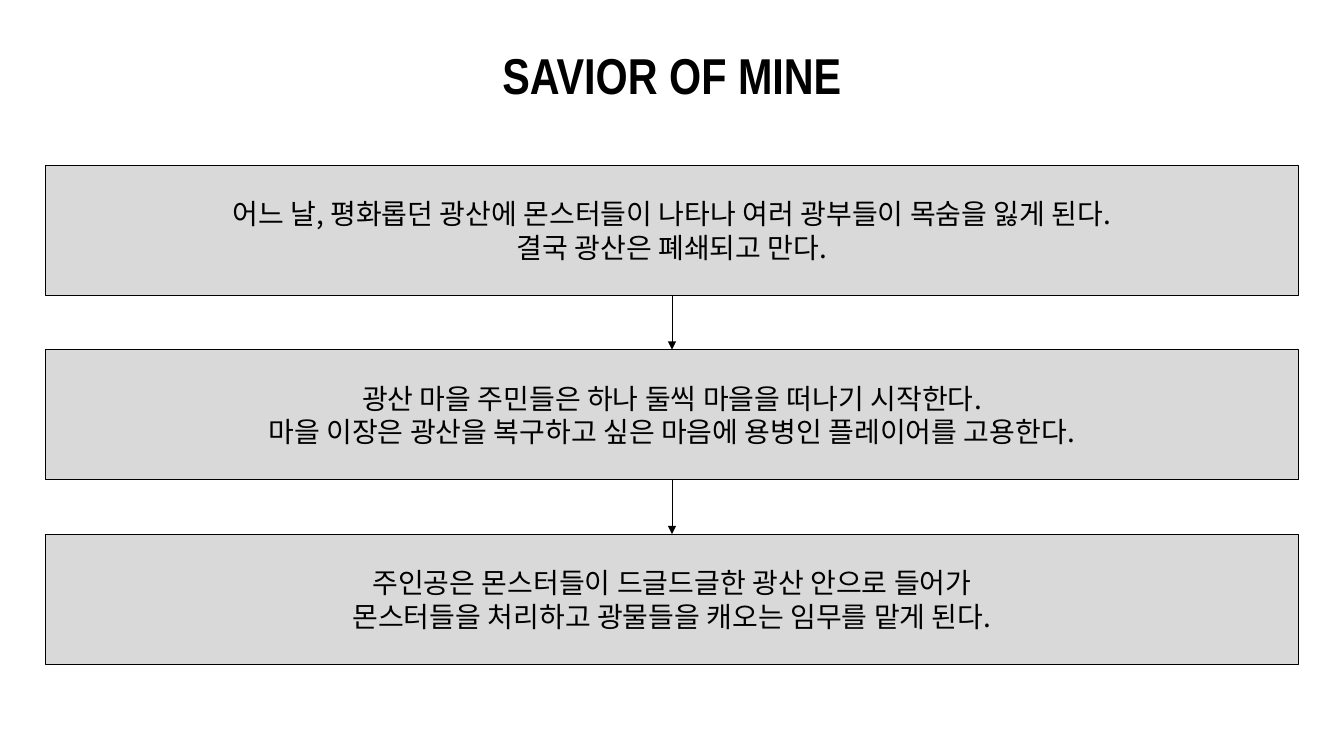
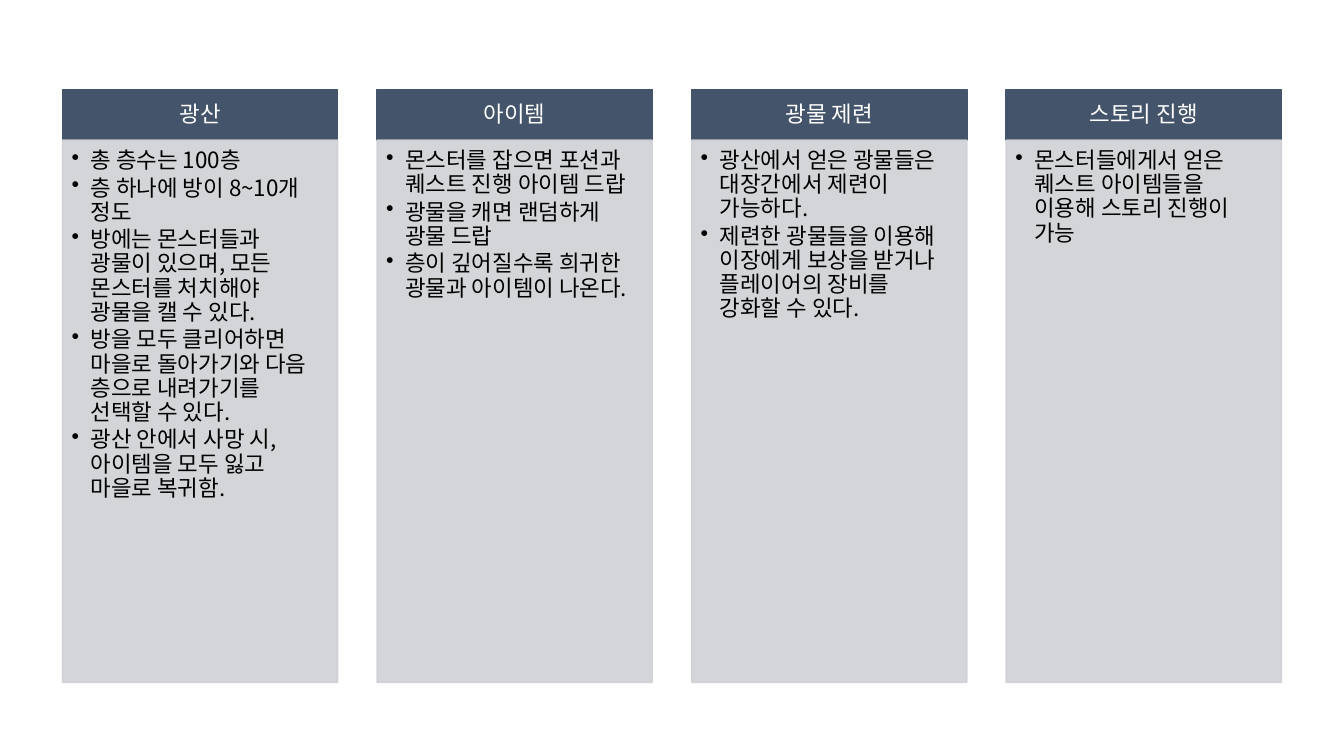
from lxml import etree
from pptx import Presentation
from pptx.dml.color import RGBColor
from pptx.enum.shapes import MSO_CONNECTOR, MSO_SHAPE
from pptx.enum.text import MSO_ANCHOR, MSO_AUTO_SIZE, PP_ALIGN
from pptx.oxml.ns import qn
from pptx.util import Inches, Pt

BLACK, WHITE, GREY, NAVY, MIST = "000000", "FFFFFF", "D9D9D9", "44546A", "CFD1D4"
KOREAN = "Noto Sans CJK KR"


def add_panel(slide, bounds, fill, outline):
    """Add a flat rectangle at bounds (inches) with a one-point outline."""
    panel = slide.shapes.add_shape(MSO_SHAPE.RECTANGLE, *map(Inches, bounds))
    panel.shadow.inherit = False
    panel.fill.solid()
    panel.fill.fore_color.rgb = RGBColor.from_string(fill)
    panel.line.color.rgb = RGBColor.from_string(outline)
    panel.line.width = Pt(1)
    return panel


def write(shape, lines, size, color=BLACK, align=PP_ALIGN.CENTER, face=KOREAN):
    """Write one paragraph per line in one style and return the paragraphs."""
    frame = shape.text_frame
    frame.word_wrap = True
    frame.text = "\n".join(lines)
    for paragraph in frame.paragraphs:
        paragraph.alignment = align
        font = paragraph.font
        font.size, font.name = Pt(size), face
        font.color.rgb = RGBColor.from_string(color)
        latin = paragraph._p.pPr.find(qn("a:defRPr")).find(qn("a:latin"))
        east_asian = etree.Element(qn("a:ea"), typeface=face)
        latin.addnext(east_asian)
    return frame.paragraphs


deck = Presentation()
deck.slide_width, deck.slide_height = Inches(13.33), Inches(7.5)
TITLE_ONLY, BLANK = deck.slide_layouts[5], deck.slide_layouts[6]

# Story: three steps joined by arrows
story = deck.slides.add_slide(TITLE_ONLY)
title = story.shapes.title
title.left, title.top = 0, Inches(0.38)
title.width, title.height = deck.slide_width, Inches(0.71)
title.text_frame.auto_size = MSO_AUTO_SIZE.NONE
for heading in write(title, ["SAVIOR OF MINE"], 36, face="Arial Narrow"):
    heading.font.bold = True

STEPS = [
    ["어느 날, 평화롭던 광산에 몬스터들이 나타나 여러 광부들이 목숨을 잃게 된다.",
     "결국 광산은 폐쇄되고 만다."],
    ["광산 마을 주민들은 하나 둘씩 마을을 떠나기 시작한다.",
     "마을 이장은 광산을 복구하고 싶은 마음에 용병인 플레이어를 고용한다."],
    ["주인공은 몬스터들이 드글드글한 광산 안으로 들어가",
     "몬스터들을 처리하고 광물들을 캐오는 임무를 맡게 된다."],
]
STEP_TOP, STEP_PITCH, STEP_HEIGHT = 1.64, 1.83, 1.29
steps = []
for row, sentences in enumerate(STEPS):
    bounds = (0.45, STEP_TOP + row * STEP_PITCH, 12.43, STEP_HEIGHT)
    step = add_panel(story, bounds, GREY, BLACK)
    write(step, sentences, 20)
    steps.append(step)

BOTTOM_SITE, TOP_SITE = 2, 0
for upper, lower in zip(steps, steps[1:]):
    arrow = story.shapes.add_connector(MSO_CONNECTOR.STRAIGHT, 0, 0, 0, 0)
    arrow.begin_connect(upper, BOTTOM_SITE)
    arrow.end_connect(lower, TOP_SITE)
    arrow.line.color.rgb = RGBColor.from_string(BLACK)
    arrow.line.width = Pt(0.5)
    etree.SubElement(arrow.line._get_or_add_ln(), qn("a:tailEnd"), type="triangle")
    etree.SubElement(arrow._element.spPr, qn("a:effectLst"))

# Game systems: four columns, each a header over a bulleted list
SYSTEMS = {
    "광산": [
        "총 층수는 100층",
        "층 하나에 방이 8~10개 정도",
        "방에는 몬스터들과 광물이 있으며, 모든 몬스터를 처치해야 광물을 캘 수 있다.",
        "방을 모두 클리어하면 마을로 돌아가기와 다음 층으로 내려가기를 선택할 수 있다.",
        "광산 안에서 사망 시, 아이템을 모두 잃고 마을로 복귀함.",
    ],
    "아이템": [
        "몬스터를 잡으면 포션과 퀘스트 진행 아이템 드랍",
        "광물을 캐면 랜덤하게 광물 드랍",
        "층이 깊어질수록 희귀한 광물과 아이템이 나온다.",
    ],
    "광물 제련": [
        "광산에서 얻은 광물들은 대장간에서 제련이 가능하다.",
        "제련한 광물들을 이용해 이장에게 보상을 받거나 플레이어의 장비를 강화할 수 있다.",
    ],
    "스토리 진행": ["몬스터들에게서 얻은 퀘스트 아이템들을 이용해 스토리 진행이 가능"],
}
COLUMN_LEFT, COLUMN_PITCH, COLUMN_WIDTH = 0.62, 3.12, 2.73
HEADER_TOP, HEADER_HEIGHT, LIST_HEIGHT = 0.89, 0.5, 5.38
INDENT = Inches(0.19)

systems = deck.slides.add_slide(BLANK)
for column, (name, rules) in enumerate(SYSTEMS.items()):
    left = COLUMN_LEFT + column * COLUMN_PITCH
    header = add_panel(systems, (left, HEADER_TOP, COLUMN_WIDTH, HEADER_HEIGHT), NAVY, NAVY)
    for label in write(header, [name], 16, WHITE):
        label.line_spacing = 0.9

    list_top = HEADER_TOP + HEADER_HEIGHT
    rule_list = add_panel(systems, (left, list_top, COLUMN_WIDTH, LIST_HEIGHT), MIST, MIST)
    for tint in rule_list._element.spPr.iter(qn("a:srgbClr")):
        etree.SubElement(tint, qn("a:alpha"), val="90000")
    frame = rule_list.text_frame
    frame.vertical_anchor = MSO_ANCHOR.TOP
    frame.margin_left = frame.margin_top = Inches(0.09)
    frame.margin_right, frame.margin_bottom = Inches(0.12), Inches(0.14)
    for rule in write(rule_list, rules, 16, align=PP_ALIGN.LEFT):
        rule.line_spacing, rule.space_after = 0.9, Pt(2.4)
        properties = rule._p.pPr
        properties.set("marL", str(INDENT))
        properties.set("indent", str(-INDENT))
        bullet = etree.Element(qn("a:buChar"), char="•")
        properties.find(qn("a:defRPr")).addprevious(bullet)

deck.save("out.pptx")
